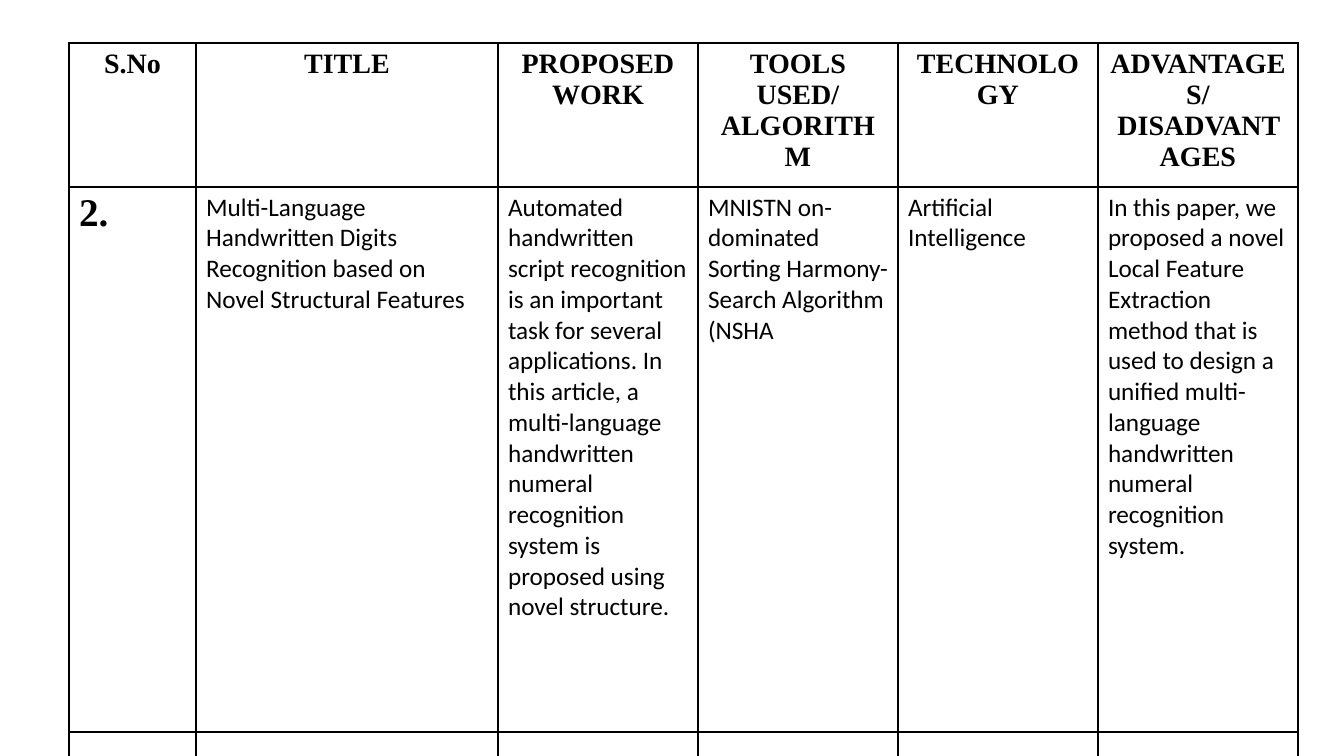
from lxml.etree import SubElement
from pptx import Presentation
from pptx.dml.color import RGBColor
from pptx.enum.text import PP_ALIGN
from pptx.oxml.ns import qn
from pptx.util import Pt

PIXEL = 914400 * 10 // 1008
BLACK = RGBColor(0, 0, 0)
WHITE = RGBColor(255, 255, 255)
SERIF, SANS = "Times New Roman", "Calibri"

COLUMN_WIDTHS = [127, 302, 200, 200, 200, 200]
ROW_HEIGHTS = [144, 545, 90]

HEADINGS = [
    ["S.No"],
    ["TITLE"],
    ["PROPOSED WORK"],
    ["TOOLS USED/", "ALGORITHM"],
    ["TECHNOLOGY"],
    ["ADVANTAGES/ DISADVANTAGES"],
]
PAPER_NUMBER = ["2."]
PAPER_DETAILS = [
    ["Multi-Language Handwritten Digits Recognition based on",
     "Novel Structural Features"],
    ["Automated handwritten script recognition is an important",
     "task for several applications. In this article, a multi-language",
     "handwritten numeral recognition system is proposed using novel structure."],
    ["MNISTN on-dominated Sorting Harmony-Search Algorithm", "(NSHA"],
    ["Artificial Intelligence"],
    ["In this paper, we proposed a novel Local Feature Extraction",
     "method that is used to design a unified multi-language",
     "handwritten numeral recognition system."],
]


def style_cell(cell):
    properties = cell._tc.get_or_add_tcPr()
    for side in ("a:lnL", "a:lnR", "a:lnT", "a:lnB"):
        border = SubElement(properties, qn(side), w=str(Pt(1)))
        ink = SubElement(border, qn("a:solidFill"))
        SubElement(ink, qn("a:srgbClr"), val=str(BLACK))
    cell.fill.solid()
    cell.fill.fore_color.rgb = WHITE


def write_cell(cell, lines, font, size, bold, align=PP_ALIGN.LEFT):
    frame = cell.text_frame
    for index, line in enumerate(lines):
        paragraph = frame.add_paragraph() if index else frame.paragraphs[0]
        paragraph.alignment = align
        run = paragraph.add_run()
        run.text = line
        run.font.name = font
        run.font.size = Pt(size)
        run.font.bold = bold
        run.font.color.rgb = BLACK


def add_survey_table(slide, left, top):
    survey = slide.shapes.add_table(
        len(ROW_HEIGHTS), len(COLUMN_WIDTHS), left * PIXEL, top * PIXEL,
        sum(COLUMN_WIDTHS) * PIXEL, sum(ROW_HEIGHTS) * PIXEL).table
    survey.first_row = False
    survey.horz_banding = False
    for column, width in zip(survey.columns, COLUMN_WIDTHS):
        column.width = width * PIXEL
    for row, height in zip(survey.rows, ROW_HEIGHTS):
        row.height = height * PIXEL
    for cell in survey.iter_cells():
        style_cell(cell)
    for column, heading in enumerate(HEADINGS):
        write_cell(survey.cell(0, column), heading, SERIF, 20, True, PP_ALIGN.CENTER)
    write_cell(survey.cell(1, 0), PAPER_NUMBER, SERIF, 28, True)
    for column, detail in enumerate(PAPER_DETAILS, start=1):
        write_cell(survey.cell(1, column), detail, SANS, 18, False)


presentation = Presentation()
presentation.slide_width = 1344 * PIXEL
presentation.slide_height = 756 * PIXEL
slide = presentation.slides.add_slide(presentation.slide_layouts[6])
add_survey_table(slide, 69, 43)
presentation.save("out.pptx")
